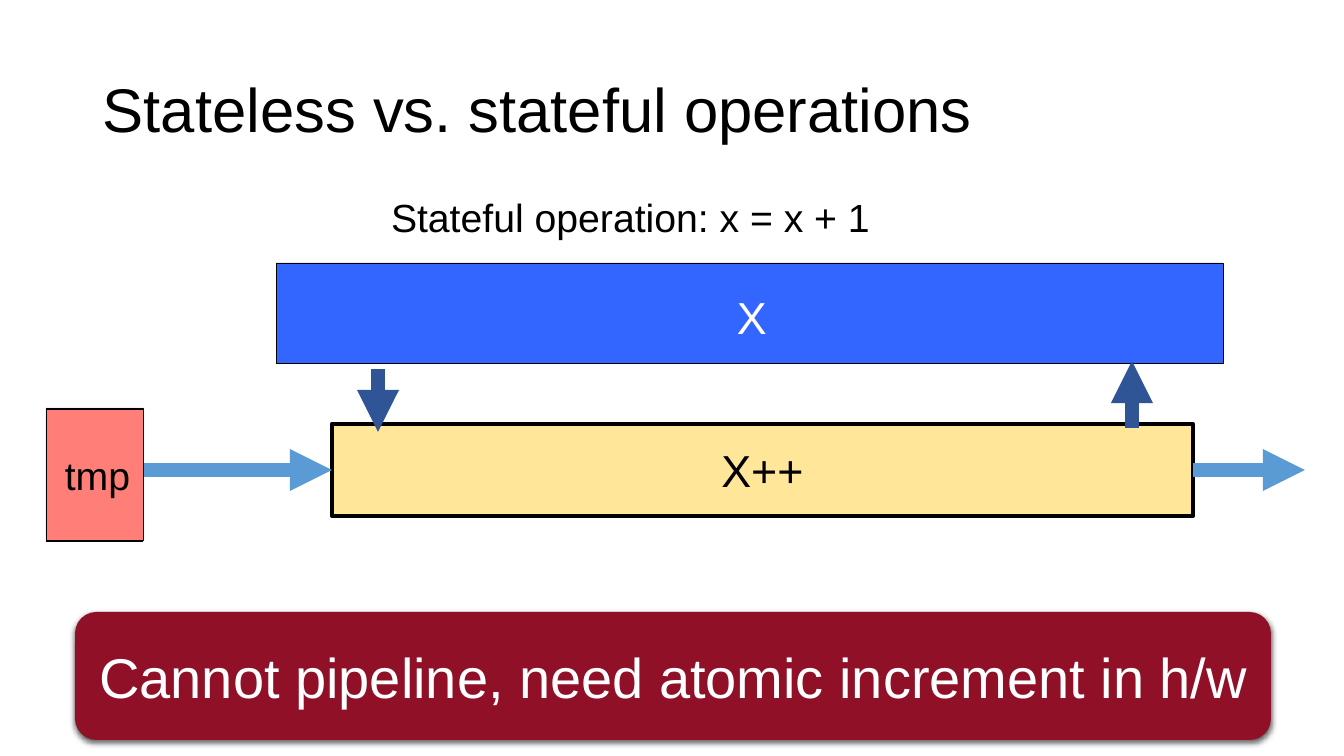
import pptx
import pptx.util
import pptx.dml.color
import pptx.enum.shapes
import pptx.enum.text
import pptx.oxml
import pptx.oxml.ns

EMU_PER_PX = 914400 / 100.8
COLORS = {
    "black": "000000",
    "white": "FFFFFF",
    "state": "3366FF",
    "stage": "FFE699",
    "packet": "FF7E77",
    "flow": "5B9BD5",
    "access": "2F5597",
    "banner": "901028",
}
SHAPE = pptx.enum.shapes.MSO_SHAPE
ALIGN = pptx.enum.text.PP_ALIGN
ANCHOR = pptx.enum.text.MSO_ANCHOR


def px(n):
    return pptx.util.Emu(round(n * EMU_PER_PX))


def rgb(name):
    return pptx.dml.color.RGBColor.from_string(COLORS[name])


def apply(obj, values):
    for name, value in values.items():
        setattr(obj, name, value)


def write(sp, text, size, color="black", frame=None, para=None):
    tf = sp.text_frame
    apply(tf, {"word_wrap": True, "vertical_anchor": ANCHOR.MIDDLE, **(frame or {})})
    p = tf.paragraphs[0]
    apply(p, {"alignment": ALIGN.CENTER, **(para or {})})
    r = p.add_run()
    r.text = text
    apply(r.font, {"name": "Arial", "size": pptx.util.Pt(size)})
    r.font.color.rgb = rgb(color)


def add_label(s, box, text, size, color="black", frame=None, para=None):
    sp = s.shapes.add_textbox(*map(px, box))
    write(sp, text, size, color, frame, para)


def add_box(s, kind, box, fill, line_width=0):
    sp = s.shapes.add_shape(kind, *map(px, box))
    sp.shadow.inherit = False
    sp.fill.solid()
    sp.fill.fore_color.rgb = rgb(fill)
    if line_width:
        sp.line.color.rgb = rgb("black")
        sp.line.width = pptx.util.Pt(line_width)
    else:
        sp.line.fill.background()
    return sp


def add_line(s, start, end, color, width, arrow=False):
    line = s.shapes.add_connector(
        pptx.enum.shapes.MSO_CONNECTOR.STRAIGHT, *map(px, start + end)
    )
    line.line.color.rgb = rgb(color)
    line.line.width = pptx.util.Pt(width)
    if arrow:
        ln = line.line._get_or_add_ln()
        ln.append(pptx.oxml.parse_xml(
            f'<a:tailEnd {pptx.oxml.ns.nsdecls("a")} type="triangle"/>'
        ))
    line._element.spPr.append(pptx.oxml.parse_xml(
        f'<a:effectLst {pptx.oxml.ns.nsdecls("a")}/>'
    ))
    return line


def add_drop_shadow(sp):
    blur, dist = pptx.util.Pt(4.5), pptx.util.Pt(1.5)
    effects = sp._element.spPr.find(pptx.oxml.ns.qn("a:effectLst"))
    effects.append(pptx.oxml.parse_xml(
        f'<a:outerShdw {pptx.oxml.ns.nsdecls("a")} blurRad="{blur}" dist="{dist}"'
        f' dir="5400000" rotWithShape="0"><a:srgbClr val="{COLORS["black"]}">'
        '<a:alpha val="63000"/></a:srgbClr></a:outerShdw>'
    ))


def main():
    prs = pptx.Presentation()
    apply(prs, {"slide_width": px(1344), "slide_height": px(756)})
    s = prs.slides.add_slide(prs.slide_layouts[6])

    left = {"alignment": ALIGN.LEFT}
    add_label(s, (93, 40, 1159, 146), "Stateless vs. stateful operations", 44,
              para={**left, "line_spacing": 0.9})
    add_label(s, (276, 188, 613, 57), "Stateful operation: x = x + 1", 28,
              frame={"margin_left": px(115), "vertical_anchor": ANCHOR.TOP}, para=left)

    stage = add_box(s, SHAPE.RECTANGLE, (332, 424, 861, 92), "stage", 3)
    write(stage, "X++", 32)
    flow_in = add_line(s, (143, 470), (332, 470), "flow", 10, arrow=True)
    flow_in.end_connect(stage, 1)
    flow_out = add_line(s, (1193, 470), (1305, 470), "flow", 10, arrow=True)
    flow_out.begin_connect(stage, 3)

    add_box(s, SHAPE.RECTANGLE, (276, 263, 947, 100), "state", 0.5)
    add_box(s, SHAPE.RECTANGLE, (46, 408, 97, 132), "packet", 0.5)
    for y in (409, 541):
        add_line(s, (46, y), (143, y), "black", 1)
    add_label(s, (16, 446, 163, 57), "tmp", 28)

    for x, start, end in ((378, 369, 432), (1132, 428, 361)):
        add_line(s, (x, start), (x, end), "access", 10, arrow=True)
    add_label(s, (727, 284, 47, 65), "X", 32, "white", frame={"word_wrap": False})

    banner = add_box(s, SHAPE.ROUNDED_RECTANGLE, (75, 612, 1196, 128), "banner")
    add_drop_shadow(banner)
    write(banner, "Cannot pipeline, need atomic increment in h/w", 40, "white")

    prs.save("out.pptx")


if __name__ == "__main__":
    main()
